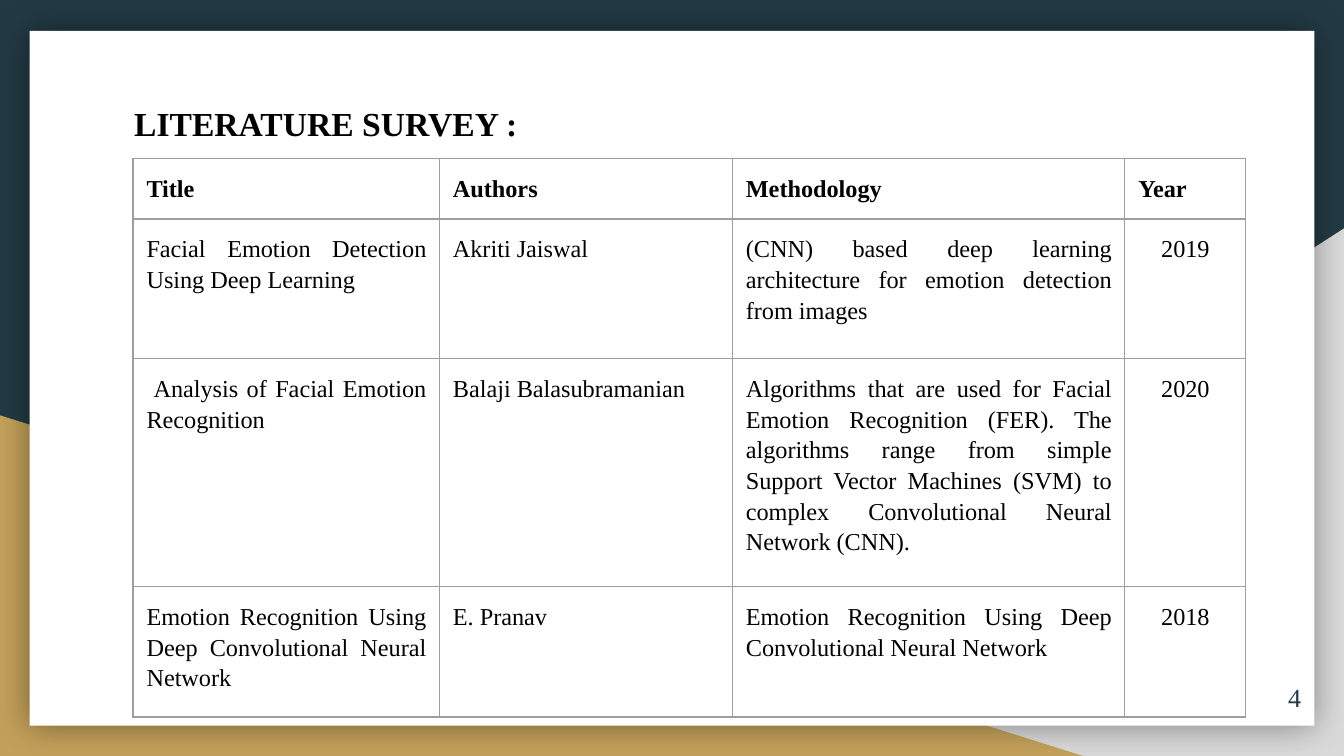
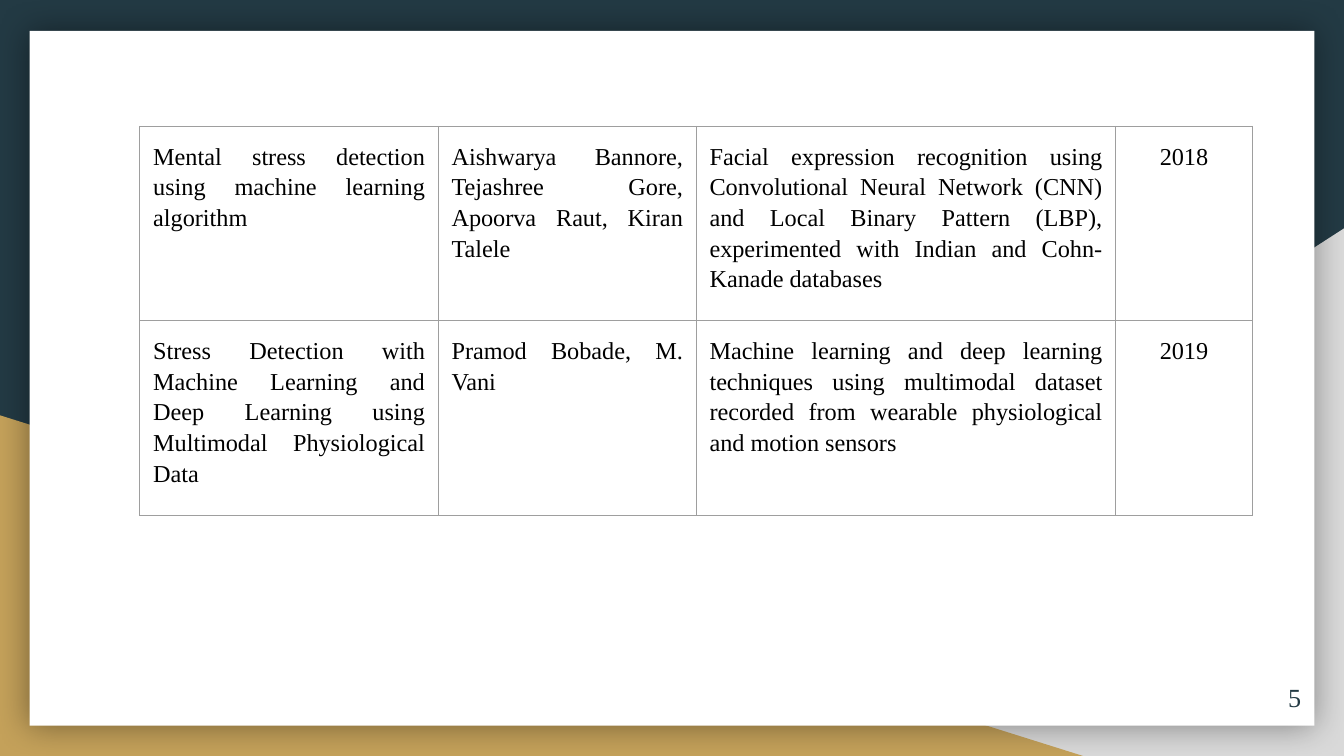
from lxml import etree
from pptx import Presentation
from pptx import util as u
from pptx.dml.color import RGBColor
from pptx.enum import shapes, text
from pptx.oxml import ns

FONT = "Times New Roman"
NAVY, GOLD, GREY, WHITE, BLACK, RULE = "233A44", "C4A15A", "D9D9D9", "FFFFFF", "000000", "9E9E9E"
LEFT, CENTER = text.PP_ALIGN.LEFT, text.PP_ALIGN.CENTER
RIGHT, JUSTIFY = text.PP_ALIGN.RIGHT, text.PP_ALIGN.JUSTIFY
WIDTH = 10
HEIGHT = WIDTH * 9 / 16

HEADINGS = ["Title", "Authors", "Methodology", "Year"]
SURVEY = [
    ["Facial Emotion Detection Using Deep Learning", "Akriti Jaiswal",
     "(CNN) based deep learning architecture for emotion detection from images", "2019"],
    [" Analysis of Facial Emotion Recognition", "Balaji Balasubramanian",
     "Algorithms that are used for Facial Emotion Recognition (FER). The algorithms range from "
     "simple Support Vector Machines (SVM) to complex Convolutional Neural Network (CNN).", "2020"],
    ["Emotion Recognition Using Deep Convolutional Neural Network", "E. Pranav",
     "Emotion Recognition Using Deep Convolutional Neural Network", "2018"],
]
STRESS_SURVEY = [
    ["Mental stress detection using machine learning algorithm",
     "Aishwarya Bannore, Tejashree Gore, Apoorva Raut, Kiran Talele",
     "Facial expression recognition using Convolutional Neural Network (CNN) and Local Binary "
     "Pattern (LBP), experimented with Indian and Cohn-Kanade databases", "2018"],
    ["Stress Detection with Machine Learning and Deep Learning using Multimodal Physiological Data",
     "Pramod Bobade, M. Vani",
     "Machine learning and deep learning techniques using multimodal dataset recorded from "
     "wearable physiological and motion sensors", "2019"],
]


def color(value):
    """Turn a hex string into a colour."""
    return RGBColor.from_string(value)


def inches(*lengths):
    """Turn numbers into lengths in inches."""
    return [u.Inches(length) for length in lengths]


def style_paragraph(para, size, ink, align, bold=False):
    """Format a paragraph and its runs."""
    para.alignment = align
    for span in para.runs:
        span.font.name = FONT
        span.font.size = u.Pt(size)
        span.font.bold = bold
        span.font.color.rgb = color(ink)


def space_paragraph(para):
    """Set the line and paragraph spacing."""
    para.line_spacing = 1.15
    para.space_before = u.Pt(12)
    para.space_after = u.Pt(0)


def set_margins(holder):
    """Give a text frame or a cell equal margins."""
    for side in ("left", "top", "right", "bottom"):
        setattr(holder, f"margin_{side}", u.Inches(0.1))


def add_panel(slide, kind, place, fill):
    """Add a plain filled shape without an outline."""
    panel = slide.shapes.add_shape(kind, *inches(*place))
    panel.shadow.inherit = False
    panel.fill.solid()
    panel.fill.fore_color.rgb = color(fill)
    panel.line.fill.background()
    return panel


def add_glow(panel):
    """Put a soft dark shadow all around a panel."""
    effects = panel.element.spPr.find(ns.qn("a:effectLst"))
    shadow = etree.SubElement(effects, ns.qn("a:outerShdw"), blurRad=str(u.Pt(18)),
                              dist="0", dir="0", algn="ctr", rotWithShape="0")
    ink = etree.SubElement(shadow, ns.qn("a:srgbClr"), val=BLACK)
    etree.SubElement(ink, ns.qn("a:alpha"), val="40000")


def add_text(slide, place, words, size, ink, align, bold=False):
    """Add a one-paragraph text box and return it."""
    box = slide.shapes.add_textbox(*inches(*place))
    frame = box.text_frame
    frame.word_wrap = True
    set_margins(frame)
    frame.text = words
    style_paragraph(frame.paragraphs[0], size, ink, align, bold)
    return box


def add_title(slide, words):
    """Add the slide title."""
    box = add_text(slide, (0.9, 0.62, 8.21, 1.04), words, 18, BLACK, JUSTIFY, True)
    space_paragraph(box.text_frame.paragraphs[0])


def add_framed_slide(deck, number):
    """Add a slide with the coloured corners, the white sheet and its number."""
    slide = deck.slides.add_slide(deck.slide_layouts[6])
    slide.background.fill.solid()
    slide.background.fill.fore_color.rgb = color(NAVY)
    triangle = shapes.MSO_SHAPE.RIGHT_TRIANGLE
    corner = add_panel(slide, triangle, (3.92, 1.7, WIDTH - 3.92, HEIGHT - 1.7), GREY)
    corner.element.spPr.xfrm.set("flipH", "1")
    add_panel(slide, triangle, (0, 3.09, 8.06, HEIGHT - 3.09), GOLD)
    add_glow(add_panel(slide, shapes.MSO_SHAPE.RECTANGLE, (0.22, 0.23, 9.56, 5.17), WHITE))
    box = add_text(slide, (9.18, 4.97, 0.6, 0.43), str(number), 14, NAVY, RIGHT)
    box.text_frame.vertical_anchor = text.MSO_ANCHOR.MIDDLE
    return slide


def add_borders(cell):
    """Draw a thin rule on each side of a cell."""
    properties = cell._tc.get_or_add_tcPr()
    for side in "LRTB":
        line = etree.SubElement(properties, ns.qn(f"a:ln{side}"), w=str(u.Pt(0.75)))
        fill = etree.SubElement(line, ns.qn("a:solidFill"))
        etree.SubElement(fill, ns.qn("a:srgbClr"), val=RULE)


def fill_cell(cell, words, align, bold):
    """Write and format one table cell."""
    set_margins(cell)
    add_borders(cell)
    cell.fill.background()
    cell.text = words
    para = cell.text_frame.paragraphs[0]
    style_paragraph(para, 13, BLACK, align, bold)
    space_paragraph(para)


def add_survey_table(slide, corner, widths, heights, records, headings=None):
    """Add a table of papers, with an optional heading row."""
    rows = ([headings] if headings else []) + records
    place = inches(*corner, sum(widths), sum(heights))
    table = slide.shapes.add_table(len(rows), len(widths), *place).table
    table.first_row = headings is not None
    table.horz_banding = False
    for column, width in zip(table.columns, widths):
        column.width = u.Inches(width)
    for row, height, record in zip(table.rows, heights, rows):
        row.height = u.Inches(height)
        is_heading = record is headings
        aligns = [LEFT] * 4 if is_heading else [JUSTIFY] * 3 + [CENTER]
        for cell, words, align in zip(row.cells, record, aligns):
            fill_cell(cell, words, align, is_heading)


def main():
    """Build the deck and save it."""
    deck = Presentation()
    deck.slide_width, deck.slide_height = inches(WIDTH, HEIGHT)

    slide = add_framed_slide(deck, 4)
    add_title(slide, "LITERATURE SURVEY :")
    add_survey_table(slide, (0.99, 1.18), [2.28, 2.18, 2.92, 0.9],
                     [0.45, 1.04, 1.19, 0.97], SURVEY, HEADINGS)

    slide = add_framed_slide(deck, 5)
    add_survey_table(slide, (1.04, 0.94), [2.22, 1.92, 3.12, 1.02],
                     [1.01, 0.86], STRESS_SURVEY)

    deck.save("out.pptx")


if __name__ == "__main__":
    main()
